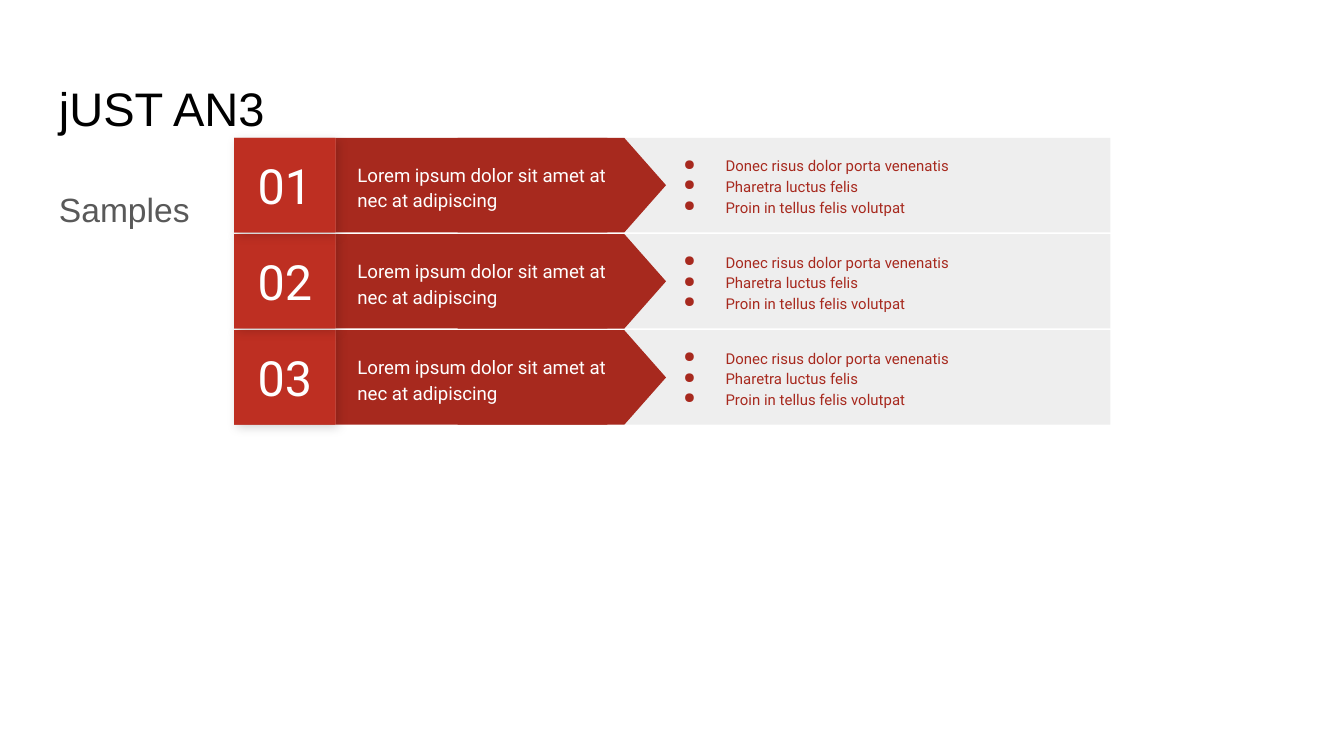
from dataclasses import dataclass

from lxml.etree import SubElement
from pptx import Presentation
from pptx.dml.color import RGBColor
from pptx.enum.shapes import MSO_SHAPE as Preset
from pptx.enum.text import MSO_ANCHOR as Anchor, PP_ALIGN as Align
from pptx.oxml.ns import qn
from pptx.util import Pt


@dataclass(frozen=True)
class Theme:
    title_color: str = "000000"
    subtitle_color: str = "595959"
    light: str = "FFFFFF"
    panel: str = "EEEEEE"
    accent: str = "A7291E"
    badge: str = "BE2F22"
    badge_base: str = "B02B20"
    shadow: str = "000000"
    heading_font: str = "Arial"
    body_font: str = "Roboto"
    title_size: float = 25.2
    subtitle_size: float = 18
    number_size: float = 26
    summary_size: float = 10
    detail_size: float = 8


def write_text(shape, text, *, size, color, font, align=Align.LEFT,
               anchor=Anchor.TOP, spacing=None, after=None, bullet=None):
    frame = shape.text_frame
    frame.word_wrap = True
    frame.vertical_anchor = anchor
    frame.margin_left = frame.margin_right = Pt(7.2)
    frame.margin_top = frame.margin_bottom = Pt(7.2)
    frame.text = text
    for paragraph in frame.paragraphs:
        paragraph.alignment = align
        if spacing:
            paragraph.line_spacing = spacing
        if after:
            paragraph.space_after = Pt(after)
        for run in paragraph.runs:
            run.font.size = Pt(size)
            run.font.name = font
            run.font.color.rgb = RGBColor.from_string(color)
        if bullet:
            properties = paragraph._p.get_or_add_pPr()
            properties.set("marL", str(Pt(36)))
            properties.set("indent", str(-Pt(22.4)))
            bullet_color = SubElement(properties, qn("a:buClr"))
            SubElement(bullet_color, qn("a:srgbClr"), val=color)
            SubElement(properties, qn("a:buChar"), char=bullet)


class Deck:
    def __init__(self, theme, width, height):
        self.theme = theme
        self.presentation = Presentation()
        self.presentation.slide_width = Pt(width)
        self.presentation.slide_height = Pt(height)
        self.slide = self.presentation.slides.add_slide(
            self.presentation.slide_layouts[6])
        self.shapes = self.slide.shapes

    def start_group(self):
        self.shapes = self.slide.shapes.add_group_shape().shapes

    def label(self, text, left, top, width, height, **style):
        box = self.shapes.add_textbox(Pt(left), Pt(top), Pt(width), Pt(height))
        write_text(box, text, **style)

    def block(self, left, top, width, height, fill, preset=Preset.RECTANGLE):
        block = self.shapes.add_shape(
            preset, Pt(left), Pt(top), Pt(width), Pt(height))
        block.shadow.inherit = False
        block.fill.solid()
        block.fill.fore_color.rgb = RGBColor.from_string(fill)
        block.line.fill.background()
        return block

    def pointer(self, left, top, width, height, fill):
        shift = (width - height) / 2
        pointer = self.block(left + shift, top - shift, height, width, fill,
                             Preset.FLOWCHART_OFFPAGE_CONNECTOR)
        pointer.rotation = 270

    def shadowed_block(self, left, top, width, height, fill):
        block = self.block(left, top, width, height, fill)
        effects = block._element.spPr.find(qn("a:effectLst"))
        shadow = SubElement(effects, qn("a:outerShdw"), blurRad=str(Pt(5.6)),
                            dist=str(Pt(2.2)), dir="2700000", algn="tl",
                            rotWithShape="0")
        color = SubElement(shadow, qn("a:srgbClr"), val=self.theme.shadow)
        SubElement(color, qn("a:alpha"), val="17000")

    def row(self, number, summary, details, top, height):
        theme = self.theme
        body = dict(font=theme.body_font, anchor=Anchor.MIDDLE)
        self.start_group()
        self.block(293.8, top, 301, height, theme.panel)
        self.block(180, top, 145.4, height, theme.accent)
        self.pointer(245.2, top, 111.6, height, theme.accent)
        self.label(summary, 184.4, top + 6.2, 152.6, 39, spacing=1.15,
                   size=theme.summary_size, color=theme.light, **body)
        self.shadowed_block(125.4, top, 54.4, height, theme.badge_base)
        badge = self.block(125.4, top, 54.4, height, theme.badge)
        write_text(badge, number, size=theme.number_size, color=theme.light,
                   align=Align.CENTER, **body)
        self.label("\n".join(details), 345.6, top, 234, height, spacing=1.15,
                   size=theme.detail_size, color=theme.accent, bullet="●",
                   **body)

    def save(self):
        self.presentation.save("out.pptx")


def main():
    theme = Theme()
    deck = Deck(theme, 720, 405)
    deck.label("jUST AN3", 24.5, 35, 671, 45.1, size=theme.title_size,
               color=theme.title_color, font=theme.heading_font,
               anchor=Anchor.BOTTOM)
    deck.label("Samples", 24.5, 90.8, 671, 269, size=theme.subtitle_size,
               color=theme.subtitle_color, font=theme.heading_font,
               spacing=1.15, after=12)

    summary = "Lorem ipsum dolor sit amet at nec at adipiscing"
    details = ("Donec risus dolor porta venenatis", "Pharetra luctus felis",
               "Proin in tellus felis volutpat")
    first_top, pitch, row_height = 73.9, 51.5, 50.6
    for position in reversed(range(3)):
        deck.row(f"{position + 1:02}", summary, details,
                 first_top + position * pitch, row_height)
    deck.save()


if __name__ == "__main__":
    main()
